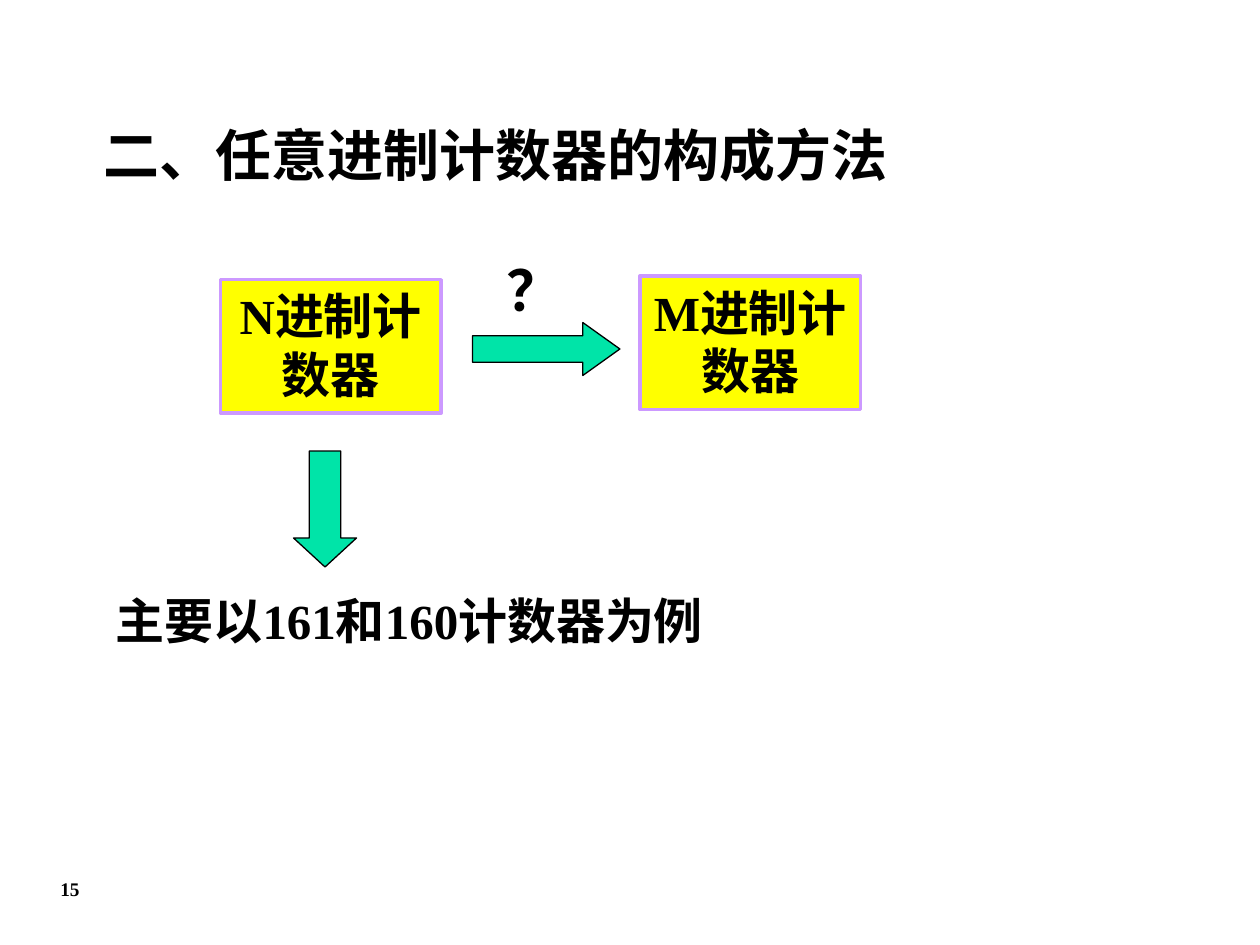
from pptx import Presentation, util as u
from pptx.dml.color import RGBColor
from pptx.enum import shapes, text

prs = Presentation()
prs.slide_width, prs.slide_height = u.Inches(10), u.Inches(7.5)
s = prs.slides.add_slide(prs.slide_layouts[6])
COL, ROW = prs.slide_width / 100, prs.slide_height / 100
KIND = shapes.MSO_SHAPE
LEFT, CENTER = text.PP_ALIGN.LEFT, text.PP_ALIGN.CENTER


def add_block(kind, box, fill=None, line=None, weight=0.75):
    """Add a shape, or a text box if kind is None; box is in percent of the slide."""
    x, y, w, h = box
    area = [round(v) for v in (x * COL, y * ROW, w * COL, h * ROW)]
    if kind is None:
        return s.shapes.add_textbox(*area)
    sp = s.shapes.add_shape(kind, *area)
    sp.shadow.inherit = False
    sp.fill.solid()
    sp.fill.fore_color.rgb = RGBColor.from_string(fill)
    sp.line.color.rgb = RGBColor.from_string(line)
    sp.line.width = u.Pt(weight)
    return sp


def write(sp, words, size, align=LEFT, anchor=text.MSO_ANCHOR.TOP):
    tf = sp.text_frame
    tf.word_wrap = True
    tf.vertical_anchor = anchor
    p = tf.paragraphs[0]
    p.text = words
    p.alignment = align
    p.font.name = "Times New Roman"
    p.font.size = u.Pt(size)
    p.font.bold = True
    p.font.color.rgb = RGBColor.from_string("000000")


# Counter boxes
for words, x, y in [("N进制计数器", 17.5, 29.6), ("M进制计数器", 50.8, 29.2)]:
    sp = add_block(KIND.RECTANGLE, (x, y, 17.5, 14.13), "FFFF00", "CC99FF", 2)
    write(sp, words, 28, CENTER)

# Arrows: one to the target counter, one to the examples
for kind, box, head in [
    (KIND.RIGHT_ARROW, (37.5, 34.13, 11.7, 5.6), 0.7),
    (KIND.DOWN_ARROW, (23.3, 47.73, 5, 12.27), 0.46),
]:
    sp = add_block(kind, box, "00E4A8", "000000")
    sp.adjustments[0], sp.adjustments[1] = 0.5, head

# Title, question mark, examples and page number
for words, size, box, align, anchor in [
    ("二、任意进制计数器的构成方法", 32, (7.2, 11.33, 90, 9.87), LEFT, text.MSO_ANCHOR.MIDDLE),
    ("？", 32, (39.2, 26.4, 5.9, 8.4), LEFT, text.MSO_ANCHOR.TOP),
    ("主要以161和160计数器为例", 28, (8.2, 61.87, 53.5, 7.6), LEFT, text.MSO_ANCHOR.TOP),
    ("15", 11, (0.6, 91.6, 9.9, 4.93), CENTER, text.MSO_ANCHOR.MIDDLE),
]:
    write(add_block(None, box), words, size, align, anchor)

prs.save("out.pptx")
